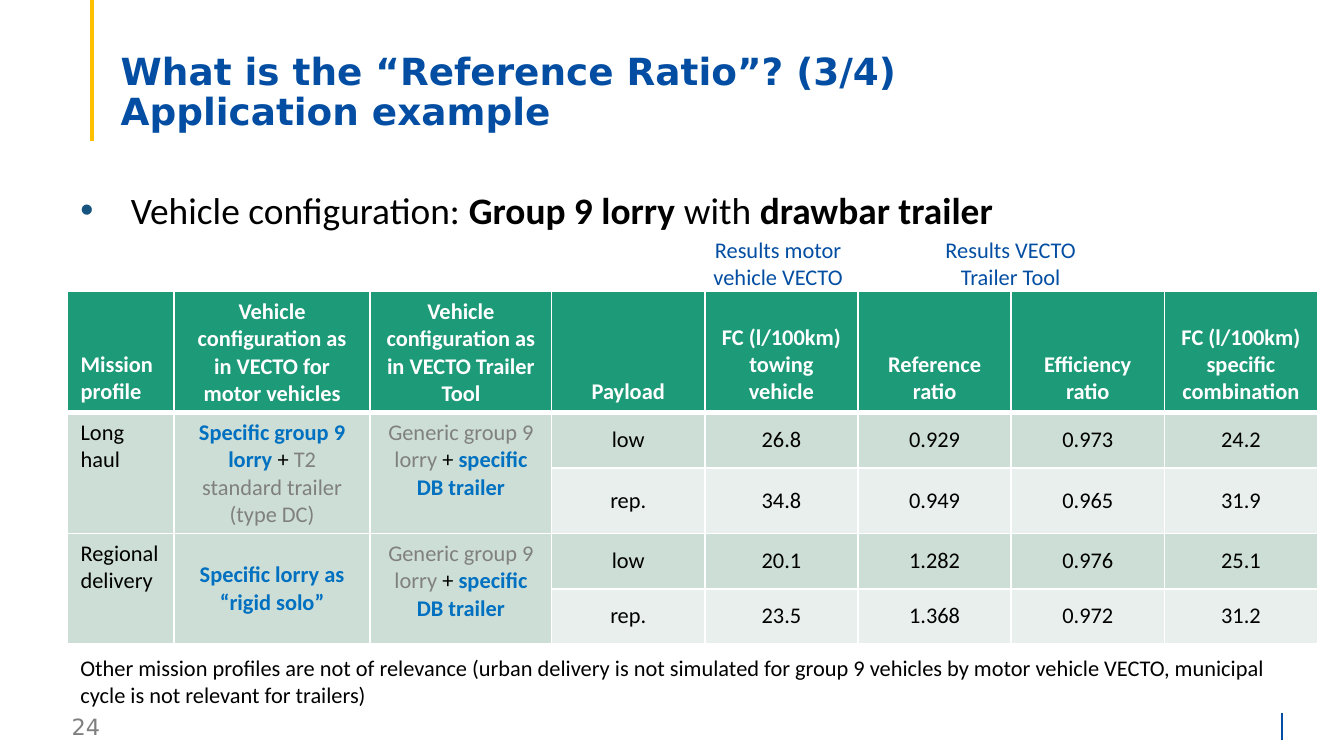
from dataclasses import dataclass
from itertools import product

from lxml.etree import SubElement
from pptx import Presentation
from pptx.dml.color import RGBColor
from pptx.enum.shapes import MSO_CONNECTOR
from pptx.enum.text import MSO_ANCHOR, PP_ALIGN
from pptx.oxml.ns import qn
from pptx.util import Pt

SCALE = 4572
HEX = {
    "blue": "034EA2", "gold": "FFC000", "gray": "7F7F7F", "black": "000000",
    "white": "FFFFFF", "head": "1D9A78", "dark": "CDDED6", "light": "E8EFEC",
    "link": "0070C0", "mute": "808080", "dot": "16537F",
}
LEFT, MID = PP_ALIGN.LEFT, PP_ALIGN.CENTER
TOP, CENTER, BOTTOM = MSO_ANCHOR.TOP, MSO_ANCHOR.MIDDLE, MSO_ANCHOR.BOTTOM


@dataclass
class Bit:
    text: str
    color: str = "black"
    bold: bool = False
    size: int = 12
    font: str = "Calibri"


@dataclass
class Label:
    box: tuple[int, int, int, int]
    bits: list[Bit]
    align: PP_ALIGN = LEFT
    anchor: MSO_ANCHOR = TOP
    inset: int = 10


@dataclass
class Rule:
    x: int
    top: int
    end: int
    color: str
    width: float


@dataclass
class Entry:
    row: int
    col: int
    bits: list[Bit]
    fill: str
    align: PP_ALIGN = MID
    anchor: MSO_ANCHOR = CENTER
    span: int = 1


def px(num: int) -> int:
    return num * SCALE


def rgb(name: str) -> RGBColor:
    return RGBColor.from_string(HEX[name])


def write(para, bits: list[Bit], align: PP_ALIGN) -> None:
    para.alignment = align
    for bit in bits:
        for num, line in enumerate(bit.text.split("\n")):
            if num:
                para.add_line_break()
            if not line:
                continue
            run = para.add_run()
            run.text = line
            run.font.name = bit.font
            run.font.size = Pt(bit.size)
            run.font.bold = bit.bold
            run.font.color.rgb = rgb(bit.color)


def draw_label(slide, label: Label):
    frame = slide.shapes.add_textbox(*map(px, label.box)).text_frame
    frame.word_wrap = True
    frame.vertical_anchor = label.anchor
    frame.margin_top = frame.margin_bottom = px(label.inset)
    para = frame.paragraphs[0]
    write(para, label.bits, label.align)
    return para


def draw_rule(slide, rule: Rule) -> None:
    line = slide.shapes.add_connector(
        MSO_CONNECTOR.STRAIGHT, *map(px, (rule.x, rule.top, rule.x, rule.end)))
    line.line.color.rgb = rgb(rule.color)
    line.line.width = Pt(rule.width)
    SubElement(line.element.spPr, qn("a:effectLst"))


def add_dot(para) -> None:
    props = para._p.get_or_add_pPr()
    props.set("marL", str(px(75)))
    props.set("indent", str(px(-75)))
    tint = SubElement(props, qn("a:buClr"))
    SubElement(tint, qn("a:srgbClr"), val=HEX["dot"])
    SubElement(props, qn("a:buFont"), typeface="Arial")
    SubElement(props, qn("a:buChar"), char="•")


def add_edges(cell, row: int) -> None:
    props = cell._tc.get_or_add_tcPr()
    for side in "LRTB":
        thick = (row, side) in ((0, "B"), (1, "T"))
        edge = SubElement(props, qn(f"a:ln{side}"), w=str(Pt(3 if thick else 1)))
        fill = SubElement(edge, qn("a:solidFill"))
        SubElement(fill, qn("a:srgbClr"), val=HEX["white"])


def draw_table(slide, left: int, top: int, cols: list[int], rows: list[int],
               items: list[Entry]) -> None:
    table = slide.shapes.add_table(
        len(rows), len(cols), *map(px, (left, top, sum(cols), sum(rows)))).table
    for col, wide in zip(table.columns, cols):
        col.width = px(wide)
    for row, high in zip(table.rows, rows):
        row.height = px(high)
    for row, col in product(range(len(rows)), range(len(cols))):
        add_edges(table.cell(row, col), row)
    for item in items:
        cell = table.cell(item.row, item.col)
        if item.span > 1:
            cell.merge(table.cell(item.row + item.span - 1, item.col))
        cell.fill.solid()
        cell.fill.fore_color.rgb = rgb(item.fill)
        cell.vertical_anchor = item.anchor
        write(cell.text_frame.paragraphs[0], item.bits, item.align)


HEADS = [
    "Mission profile", "Vehicle configuration as in VECTO for motor vehicles",
    "Vehicle configuration as in VECTO Trailer Tool", "Payload",
    "FC (l/100km) towing vehicle", "Reference ratio", "Efficiency ratio",
    "FC (l/100km) specific combination",
]
DATA = [
    ["low", "26.8", "0.929", "0.973", "24.2"],
    ["rep.", "34.8", "0.949", "0.965", "31.9"],
    ["low", "20.1", "1.282", "0.976", "25.1"],
    ["rep.", "23.5", "1.368", "0.972", "31.2"],
]
TRAILER = [Bit("Generic group 9 lorry ", "mute"), Bit("+ "),
           Bit("specific DB trailer", "link", True)]
GROUPS = [
    ("Long haul", [Bit("Specific group 9 lorry ", "link", True), Bit("+ "),
                   Bit("T2 standard trailer (type DC)", "mute")]),
    ("Regional delivery\n", [Bit("Specific lorry as “rigid solo”", "link", True)]),
]
RULES = [Rule(1908, 1061, 1102, "blue", 1), Rule(137, -2, 210, "gold", 2.25)]
NOTE = ("Other mission profiles are not of relevance (urban delivery is not "
        "simulated for group 9 vehicles by motor vehicle VECTO, municipal "
        "cycle is not relevant for trailers)")
PAGE = Label((87, 1051, 466, 60), [Bit("24", "gray", font="DejaVu Sans")],
             anchor=CENTER, inset=0)
TITLE = Label((160, 62, 1748, 154),
              [Bit("What is the “Reference Ratio”? (3/4)\nApplication example",
                   "blue", True, 20, "DejaVu Sans")], anchor=CENTER)
BODY = Label((100, 259, 1800, 754), [
    Bit("Vehicle configuration: ", size=20), Bit("Group 9 lorry ", bold=True, size=20),
    Bit("with ", size=20), Bit("drawbar trailer", bold=True, size=20)])
LABELS = [
    Label((100, 964, 1844, 100), [Bit(NOTE)]),
    Label((1001, 342, 314, 100), [Bit("Results motor vehicle VECTO", "blue")], MID),
    Label((1347, 342, 314, 100), [Bit("Results VECTO Trailer Tool", "blue")], MID),
]


def list_cells() -> list[Entry]:
    items = [Entry(0, col, [Bit(text, "white", True)], "head",
                   MID if col else LEFT, BOTTOM)
             for col, text in enumerate(HEADS)]
    for num, (name, setup) in enumerate(GROUPS):
        row = 1 + 2 * num
        items += [Entry(row, 0, [Bit(name)], "dark", LEFT, TOP, 2),
                  Entry(row, 1, setup, "dark", span=2),
                  Entry(row, 2, TRAILER, "dark", anchor=TOP, span=2)]
    for row, line in enumerate(DATA, 1):
        fill = "dark" if row % 2 else "light"
        items += [Entry(row, col, [Bit(text)], fill)
                  for col, text in enumerate(line, 3)]
    return items


def main() -> None:
    deck = Presentation()
    deck.slide_width, deck.slide_height = px(2000), px(1125)
    slide = deck.slides.add_slide(deck.slide_layouts[6])
    draw_label(slide, PAGE)
    for rule in RULES:
        draw_rule(slide, rule)
    draw_label(slide, TITLE).line_spacing = 0.9
    para = draw_label(slide, BODY)
    para.line_spacing = 1.14
    add_dot(para)
    draw_table(slide, 100, 434, [159, 292, 270] + [228] * 5,
               [158, 82, 88, 82, 82], list_cells())
    for label in LABELS:
        draw_label(slide, label)
    deck.save("out.pptx")


if __name__ == "__main__":
    main()
